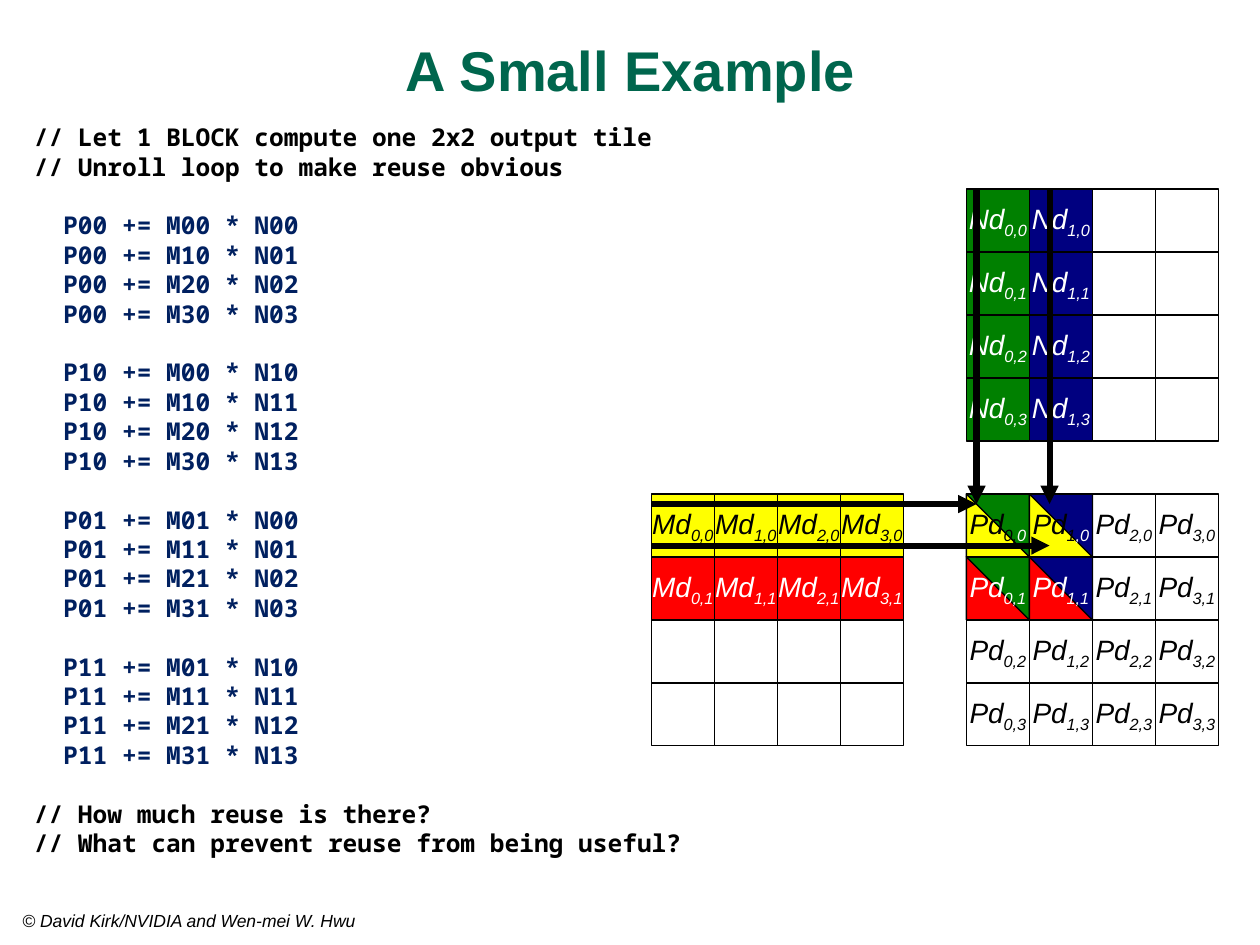
from lxml import etree
from pptx import Presentation
from pptx.dml.color import RGBColor
from pptx.enum.shapes import MSO_CONNECTOR, MSO_SHAPE
from pptx.enum.text import MSO_ANCHOR, PP_ALIGN
from pptx.oxml.ns import qn
from pptx.util import Inches, Pt

RECTANGLE, TRIANGLE = MSO_SHAPE.RECTANGLE, MSO_SHAPE.RIGHT_TRIANGLE
STRAIGHT = MSO_CONNECTOR.STRAIGHT
LEFT, CENTER = PP_ALIGN.LEFT, PP_ALIGN.CENTER
TOP, MIDDLE = MSO_ANCHOR.TOP, MSO_ANCHOR.MIDDLE


class Theme:
    sans, mono = "Arial", "Noto Sans Mono"
    black, white = "000000", "FFFFFF"
    title, code = "00664D", "002060"
    green, navy, yellow, red = "008000", "000080", "FFFF00", "FF0000"
    title_size, cell_size, code_size, credit_size = 32, 16, 14, 10
    code_pitch = 16.8
    cell_line, arrow_line = 0.75, 3.5


TITLE = "A Small Example"
CREDIT = "© David Kirk/NVIDIA and Wen-mei W. Hwu"
OPENING = ["// Let 1 BLOCK compute one 2x2 output tile",
           "// Unroll loop to make reuse obvious"]
CLOSING = ["// How much reuse is there?",
           "// What can prevent reuse from being useful?"]
TILE = [(0, 0), (1, 0), (0, 1), (1, 1)]  # column, row

SIDE, CELL = 4, 0.5
N_ORIGIN, M_ORIGIN, P_ORIGIN = (7.67, 1.5), (5.17, 3.92), (7.67, 3.92)
N_COLUMN_FILLS = [Theme.green, Theme.navy]
M_ROW_FILLS = [(Theme.yellow, Theme.black), (Theme.red, Theme.white)]
# Subscripts that change colour part-way: black part, white part
SPLIT_SUBSCRIPTS = {(0, 0): ("0,", "0"), (1, 0): ("1", ",0")}
ARROWS = [
    ((7.75, N_ORIGIN[1]), (7.75, 4)),
    ((M_ORIGIN[0], 4), (7.75, 4)),
    ((8.33, N_ORIGIN[1]), (8.33, 4)),
    ((M_ORIGIN[0], 4.33), (8.33, 4.33)),
]


def add_span(para, text, size, color, font=Theme.sans, bold=False, italic=False,
             subscript=False):
    span = para.add_run()
    span.text = text
    span.font.name, span.font.size = font, Pt(size)
    span.font.bold, span.font.italic = bold, italic
    span.font.color.rgb = RGBColor.from_string(color)
    if subscript:
        span.font._element.set("baseline", "-25000")


def add_text(page, area, lines, align=LEFT, anchor=TOP, pitch=None, **style):
    """Lines are (text, colour, space before in points)."""
    frame = page.shapes.add_textbox(*map(Inches, area)).text_frame
    frame.word_wrap = True
    frame.vertical_anchor = anchor
    for index, (text, color, gap) in enumerate(lines):
        para = frame.add_paragraph() if index else frame.paragraphs[0]
        para.alignment = align
        para.space_before = Pt(gap)
        if pitch:
            para.line_spacing = Pt(pitch)
        add_span(para, text, color=color, **style)


def cells():
    return [(column, row) for row in range(SIDE) for column in range(SIDE)]


def add_cell(page, origin, position, kind=RECTANGLE, fill=None):
    left, top = (start + CELL * step for start, step in zip(origin, position))
    box = page.shapes.add_shape(kind, *map(Inches, (left, top, CELL, CELL)))
    box.shadow.inherit = False
    box.line.color.rgb = RGBColor.from_string(Theme.black)
    box.line.width = Pt(Theme.cell_line)
    if fill:
        box.fill.solid()
        box.fill.fore_color.rgb = RGBColor.from_string(fill)
    else:
        box.fill.background()
    return box


def label_cell(box, name, parts):
    """Parts are (subscript text, colour); the name takes the first colour."""
    frame = box.text_frame
    frame.word_wrap = False
    frame.vertical_anchor = MIDDLE
    para = frame.paragraphs[0]
    para.alignment = CENTER
    add_span(para, name, Theme.cell_size, parts[0][1], italic=True)
    for text, color in parts:
        add_span(para, text, Theme.cell_size, color, italic=True, subscript=True)


def add_inputs(page):
    for column, row in cells():
        subscript = f"{column},{row}"
        shaded = column < len(N_COLUMN_FILLS)
        box = add_cell(page, N_ORIGIN, (column, row),
                       fill=N_COLUMN_FILLS[column] if shaded else None)
        if shaded:
            label_cell(box, "Nd", [(subscript, Theme.white)])

        shaded = row < len(M_ROW_FILLS)
        fill, color = M_ROW_FILLS[row] if shaded else (None, None)
        box = add_cell(page, M_ORIGIN, (column, row), fill=fill)
        if shaded:
            label_cell(box, "Md", [(subscript, color)])


def add_output(page):
    for column, row in TILE:
        add_cell(page, P_ORIGIN, (column, row), TRIANGLE, M_ROW_FILLS[row][0])
        upper = add_cell(page, P_ORIGIN, (column, row), TRIANGLE, N_COLUMN_FILLS[column])
        upper.rotation = 180
    for column, row in cells():
        if (column, row) in SPLIT_SUBSCRIPTS:
            parts = list(zip(SPLIT_SUBSCRIPTS[column, row], (Theme.black, Theme.white)))
        else:
            color = Theme.white if (column, row) in TILE else Theme.black
            parts = [(f"{column},{row}", color)]
        label_cell(add_cell(page, P_ORIGIN, (column, row)), "Pd", parts)


def add_arrow(page, start, end):
    arrow = page.shapes.add_connector(STRAIGHT, *map(Inches, start + end))
    arrow.line.color.rgb = RGBColor.from_string(Theme.black)
    arrow.line.width = Pt(Theme.arrow_line)
    etree.SubElement(arrow.line._get_or_add_ln(), qn("a:tailEnd"), type="triangle")
    etree.SubElement(arrow._element.spPr, qn("a:effectLst"))


def code_lines():
    products = [[f"  P{column}{row} += M{step}{row} * N{column}{step}"
                 for step in range(SIDE)] for column, row in TILE]
    groups = [(OPENING, Theme.black), *((group, Theme.code) for group in products),
              (CLOSING, Theme.black)]
    return [(text, color, Theme.code_pitch if number and not index else 0)
            for number, (group, color) in enumerate(groups)
            for index, text in enumerate(group)]


def main():
    deck = Presentation()
    deck.slide_width, deck.slide_height = Inches(10), Inches(7.5)
    page = deck.slides.add_slide(deck.slide_layouts[6])
    add_text(page, (0.17, 0.17, 9.67, 0.75), [(TITLE, Theme.title, 0)],
             align=CENTER, anchor=MIDDLE, size=Theme.title_size, bold=True)
    add_inputs(page)
    add_output(page)
    for start, end in ARROWS:
        add_arrow(page, start, end)
    add_text(page, (0.17, 0.92, 5.75, 6), code_lines(), pitch=Theme.code_pitch,
             size=Theme.code_size, font=Theme.mono, bold=True)
    add_text(page, (0.08, 7.17, 4.5, 0.25), [(CREDIT, Theme.black, 0)],
             size=Theme.credit_size, italic=True)
    deck.save("out.pptx")


if __name__ == "__main__":
    main()
